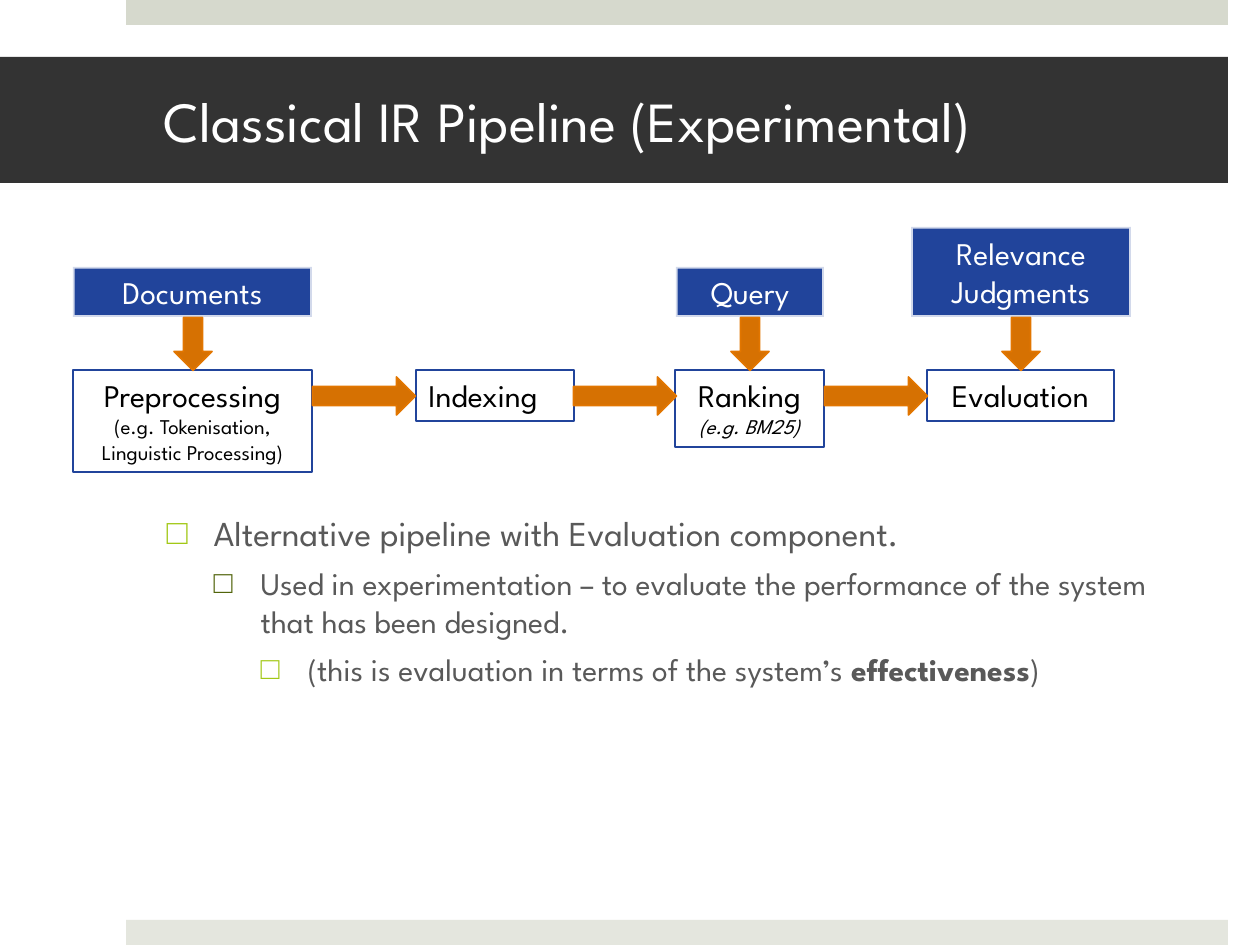
from lxml import etree
from pptx import Presentation, util as u
from pptx.dml.color import RGBColor
from pptx.enum import shapes, text
from pptx.oxml import ns

SCALE = u.Inches(1) / 126
FONT = "League Spartan"
WHITE = RGBColor(0xFF, 0xFF, 0xFF)
BLACK = RGBColor(0, 0, 0)
CHARCOAL = RGBColor(0x33, 0x33, 0x33)
GREY = RGBColor(0x59, 0x59, 0x59)
TOP_BAND = RGBColor(0xD6, 0xD9, 0xCD)
BOTTOM_BAND = RGBColor(0xE4, 0xE6, 0xDE)
BLUE = RGBColor(0x21, 0x44, 0x9B)
ORANGE = RGBColor(0xD6, 0x71, 0x02)
ORANGE_EDGE = RGBColor(0xE2, 0x76, 0x00)
LIME = RGBColor(0xA2, 0xC8, 0x16)
OLIVE = RGBColor(0x51, 0x64, 0x0B)

STEP_TOP = 370      # top of the white step boxes
INPUT_BOTTOM = 317  # bottom of the blue input boxes
ARROW_WIDTH = 38


def px(length):
    return u.Emu(round(length * SCALE))


def apply(target, values):
    for name, value in values.items():
        setattr(target, name, value)


def place(shape, left, top, width, height):
    apply(shape, dict(left=px(left), top=px(top), width=px(width), height=px(height)))


def add_span(para, words, size, color, **style):
    span = para.add_run()
    span.text = words
    apply(span.font, dict(name=FONT, size=u.Pt(size), **style))
    span.font.color.rgb = color


def add_block(page, kind, area, fill=None, line=None, weight=0.75):
    block = page.shapes.add_shape(kind, *map(px, area))
    block.shadow.inherit = False
    if fill is None:
        block.fill.background()
    else:
        block.fill.solid()
        block.fill.fore_color.rgb = fill
    if line is None:
        block.line.fill.background()
    else:
        block.line.color.rgb = line
        block.line.width = u.Pt(weight)
    return block


def add_band(page, top, color):
    add_block(page, shapes.MSO_SHAPE.RECTANGLE, (126, top, 1102, 25), color)


def add_step(page, left, width, height, lines, align=text.PP_ALIGN.CENTER):
    """White box; lines holds (words, size, italic)."""
    box = add_block(page, shapes.MSO_SHAPE.RECTANGLE, (left, STEP_TOP, width, height), line=BLUE)
    frame = box.text_frame
    apply(frame, dict(word_wrap=True, vertical_anchor=text.MSO_ANCHOR.TOP))
    for index, (words, size, italic) in enumerate(lines):
        para = frame.add_paragraph() if index else frame.paragraphs[0]
        para.alignment = align
        add_span(para, words, size, BLACK, italic=italic)


def add_input(page, left, width, height, words):
    """Blue box with a slightly transparent white edge."""
    area = (left, INPUT_BOTTOM - height, width, height)
    box = add_block(page, shapes.MSO_SHAPE.RECTANGLE, area, BLUE, WHITE, 2)
    color = box.line._ln.find(".//" + ns.qn("a:srgbClr"))
    etree.SubElement(color, ns.qn("a:alpha"), val="80000")
    apply(box.text_frame, dict(word_wrap=True, vertical_anchor=text.MSO_ANCHOR.MIDDLE))
    para = box.text_frame.paragraphs[0]
    para.alignment = text.PP_ALIGN.CENTER
    add_span(para, words, 18, WHITE)


def add_arrow(page, center_x, center_y, length, rotation=0):
    area = (center_x - length / 2, center_y - ARROW_WIDTH / 2, length, ARROW_WIDTH)
    arrow = add_block(page, shapes.MSO_SHAPE.RIGHT_ARROW, area, ORANGE, ORANGE_EDGE, 1)
    arrow.rotation = rotation


def add_title(page, words):
    title = page.shapes.title
    place(title, 0, 57, 1228, 126)
    title.fill.solid()
    title.fill.fore_color.rgb = CHARCOAL
    apply(title.text_frame, dict(
        margin_left=px(164), margin_right=px(38), word_wrap=True,
        vertical_anchor=text.MSO_ANCHOR.MIDDLE, auto_size=text.MSO_AUTO_SIZE.NONE))
    para = title.text_frame.paragraphs[0]
    para.alignment = text.PP_ALIGN.LEFT
    add_span(para, words, 32.4, WHITE)


def add_list(page, items):
    """Each item is (bullet colour, size, spans); its level is its position."""
    body = page.placeholders[1]
    place(body, 154, 505, 1048, 358)
    frame = body.text_frame
    apply(frame, dict(word_wrap=True, auto_size=text.MSO_AUTO_SIZE.NONE))
    for level, (bullet, size, spans) in enumerate(items):
        para = frame.add_paragraph() if level else frame.paragraphs[0]
        props = para._p.get_or_add_pPr()
        props.set("marL", str(px(47 * (level + 1))))
        props.set("indent", str(px(-47)))
        color = etree.SubElement(props, ns.qn("a:buClr"))
        etree.SubElement(color, ns.qn("a:srgbClr"), val=str(bullet))
        etree.SubElement(props, ns.qn("a:buChar"), char="□")
        apply(para, dict(level=level, space_before=u.Pt(6 if level else 0)))
        for words, bold in spans:
            add_span(para, words, size, GREY, bold=bold)


def main():
    deck = Presentation()
    apply(deck, dict(slide_width=px(1260), slide_height=px(945)))
    page = deck.slides.add_slide(deck.slide_layouts[1])

    # Frame and title
    add_band(page, 0, TOP_BAND)
    add_band(page, 920, BOTTOM_BAND)
    add_title(page, "Classical IR Pipeline (Experimental)")

    # Pipeline steps
    add_step(page, 73, 239, 102, [("Preprocessing", 18, False),
                                  ("(e.g. Tokenisation,", 12, False),
                                  ("Linguistic Processing)", 12, False)])
    add_step(page, 416, 158, 51, [("Indexing", 18, False)], text.PP_ALIGN.LEFT)
    add_step(page, 675, 149, 77, [("Ranking", 18, False), ("(e.g. BM25)", 12, True)])
    add_step(page, 927, 187, 51, [("Evaluation", 18, False)])

    # Inputs to the steps
    add_input(page, 73, 239, 50, "Documents")
    add_input(page, 676, 148, 50, "Query")
    add_input(page, 911, 220, 90, "Relevance Judgments")

    # Arrows between steps, then down from inputs
    for center_x in (364, 625, 876):
        add_arrow(page, center_x, 396, 103)
    for center_x in (193, 750, 1021):
        add_arrow(page, center_x, 344, 53, 90)

    # Explanation
    add_list(page, [
        (LIME, 20, [("Alternative pipeline with Evaluation component.", False)]),
        (OLIVE, 18, [("Used in experimentation – to evaluate the performance of the "
                      "system that has been designed.", False)]),
        (LIME, 18, [("(this is evaluation in terms of the system’s ", False),
                    ("effectiveness", True), (")", False)]),
    ])
    deck.save("out.pptx")


if __name__ == "__main__":
    main()
